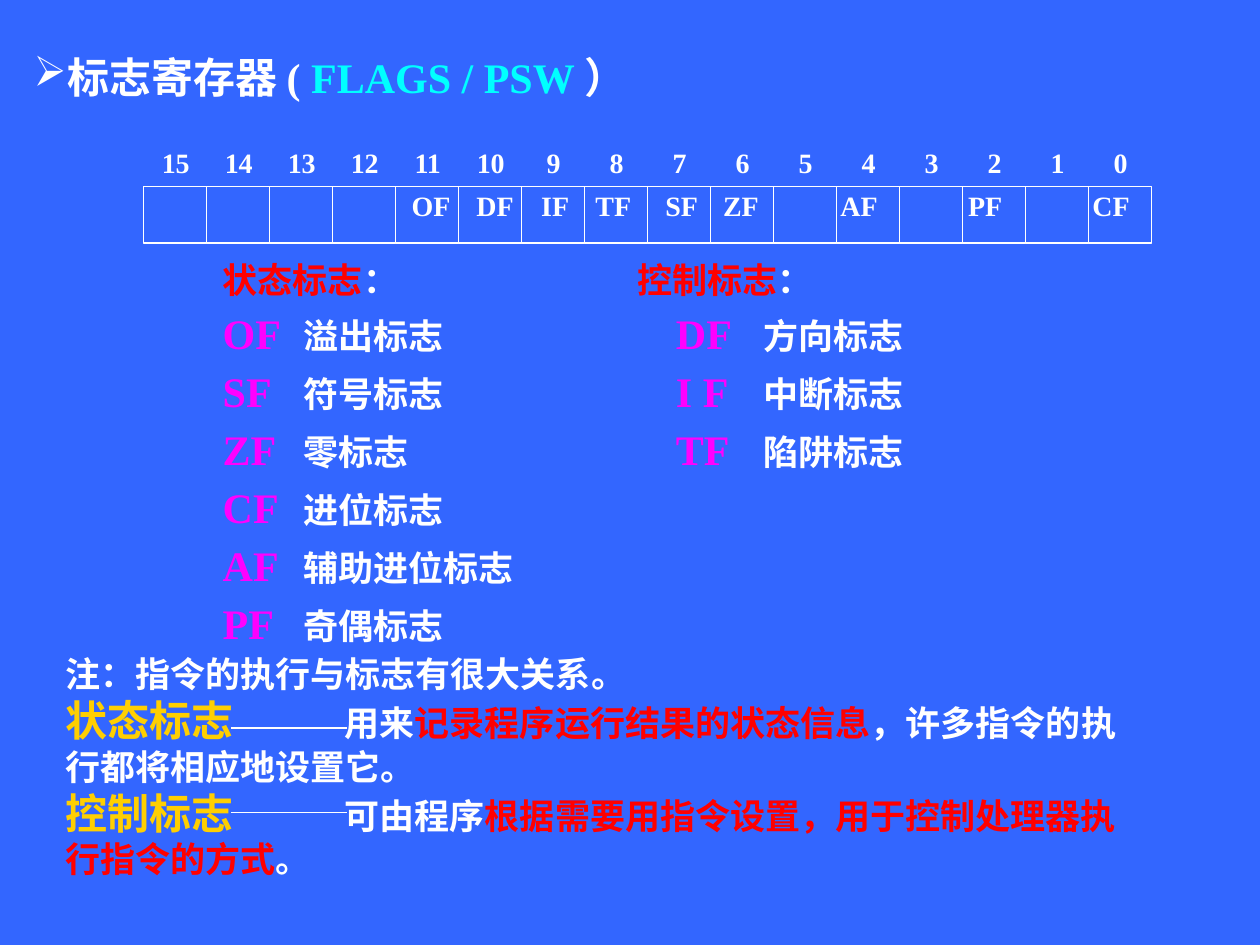
from dataclasses import dataclass

from lxml import etree
from pptx import Presentation
from pptx import util as u
from pptx.dml import color
from pptx.enum import shapes, text
from pptx.oxml import ns


@dataclass(frozen=True)
class Theme:
    font: str = "Times New Roman"
    back: str = "3366FF"
    plain: str = "FFFFFF"
    title: str = "00FFFF"
    strong: str = "FF0000"
    flag: str = "FF00FF"
    term: str = "FFCF01"
    large: int = 24
    body: int = 20
    small: int = 16


THEME = Theme()
BIT_COUNT = 16
CELL_WIDTH = 36
REGISTER_LEFT = 82
REGISTER_TOP = 106.5
REGISTER_HEIGHT = 32.4
STATUS_FLAGS = [
    ("OF", "溢出标志"), ("SF", "符号标志"), ("ZF", "零标志"),
    ("CF", "进位标志"), ("AF", "辅助进位标志"), ("PF", "奇偶标志"),
]
CONTROL_FLAGS = [("DF", "方向标志"), ("I F", "中断标志"), ("TF", "陷阱标志")]


def rgb(value):
    return color.RGBColor.from_string(value)


def plain(words, size=THEME.body):
    return words, THEME.plain, size


def strong(words):
    return words, THEME.strong, THEME.body


def flag(words):
    return words, THEME.flag, THEME.large


def term(words):
    return words, THEME.term, THEME.large


def add_child(parent, tag, **attributes):
    return etree.SubElement(parent, ns.qn(tag), attributes)


def add_text(page, left, top, width, height, lines, stops=(), align="l", spacing=None):
    box = page.shapes.add_textbox(u.Pt(left), u.Pt(top), u.Pt(width), u.Pt(height))
    frame = box.text_frame
    frame.word_wrap = True
    frame.auto_size = text.MSO_AUTO_SIZE.SHAPE_TO_FIT_TEXT
    for index, spans in enumerate(lines):
        para = frame.add_paragraph() if index else frame.paragraphs[0]
        if spacing:
            para.line_spacing = spacing
        if stops:
            tabs = add_child(para._p.get_or_add_pPr(), "a:tabLst")
            for stop in stops:
                add_child(tabs, "a:tab", pos=str(u.Pt(stop)), algn=align)
        for words, tint, size in spans:
            span = para.add_run()
            span.text = words
            span.font.name = THEME.font
            span.font.size = u.Pt(size)
            span.font.bold = True
            span.font.color.rgb = rgb(tint)
    return box


def add_bullet(para, symbol):
    props = para._p.get_or_add_pPr()
    add_child(add_child(props, "a:buClr"), "a:srgbClr", val=THEME.plain)
    add_child(props, "a:buChar", char=symbol)


def add_register(page):
    register = page.shapes.add_group_shape()
    for bit in range(BIT_COUNT):
        cell = register.shapes.add_shape(
            shapes.MSO_SHAPE.RECTANGLE, u.Pt(REGISTER_LEFT + bit * CELL_WIDTH),
            u.Pt(REGISTER_TOP), u.Pt(CELL_WIDTH), u.Pt(REGISTER_HEIGHT))
        cell.shadow.inherit = False
        cell.fill.background()
        cell.line.color.rgb = rgb(THEME.plain)
        cell.line.width = u.Pt(1)


def add_register_labels(page):
    numbers = "".join(f"\t{bit}" for bit in reversed(range(BIT_COUNT)))
    centres = [15.5 + bit * CELL_WIDTH for bit in range(BIT_COUNT)]
    add_text(page, 77.8, 79.9, 581.8, 26.6, [[plain(numbers, THEME.small)]], centres, "ctr")
    names = "\t".join(["OF", "DF", "IF", "TF", "SF", "ZF", "AF", "PF", "CF"])
    starts = [37, 74, 105, 145, 178, 245, 318, 389]
    add_text(page, 228.2, 104.4, 444.2, 26.6, [[plain(names, THEME.small)]], starts)


def add_flag_lists(page):
    lines = [[flag(code), plain(f"\t{name}")] for code, name in STATUS_FLAGS]
    for line, (code, name) in zip(lines, CONTROL_FLAGS):
        line += [flag(f"\t\t{code}"), plain(f"\t{name}")]
    heading = [strong("状态标志"), plain("：\t"), strong("控制标志"), plain("：")]
    add_text(page, 120.2, 140.4, 426.2, 234, [heading] + lines,
             [46, 237, 259, 309], spacing=1.15)


def add_notes(page):
    add_text(page, 30.2, 369.4, 624.2, 136.8, [
        [plain("注：指令的执行与标志有很大关系。")],
        [term("状态标志"), plain("\t用来"), strong("记录程序运行结果的状态信息"),
         plain("，许多指令的执行都将相应地设置它。")],
        [term("控制标志"), plain("\t可由程序"),
         strong("根据需要用指令设置，用于控制处理器执行指令的方式"), plain("。")],
    ], [159.7])


def add_dash(page, top):
    dash = page.shapes.add_connector(
        shapes.MSO_CONNECTOR.STRAIGHT, u.Pt(132), u.Pt(top), u.Pt(198), u.Pt(top))
    dash.line.color.rgb = rgb(THEME.plain)
    dash.line.width = u.Pt(0.75)
    add_child(dash._element.spPr, "a:effectLst")


def main():
    deck = Presentation()
    deck.slide_width, deck.slide_height = u.Pt(720), u.Pt(540)
    page = deck.slides.add_slide(deck.slide_layouts[6])
    page.background.fill.solid()
    page.background.fill.fore_color.rgb = rgb(THEME.back)
    title = add_text(page, 12.2, 25.9, 437.8, 36, [[
        plain("标志寄存器 ( ", THEME.large),
        ("FLAGS / PSW ", THEME.title, THEME.large),
        plain("）", THEME.large),
    ]])
    add_bullet(title.text_frame.paragraphs[0], "➢")
    add_register(page)
    add_register_labels(page)
    add_flag_lists(page)
    add_notes(page)
    for top in (416, 464.4):
        add_dash(page, top)
    deck.save("out.pptx")


if __name__ == "__main__":
    main()
